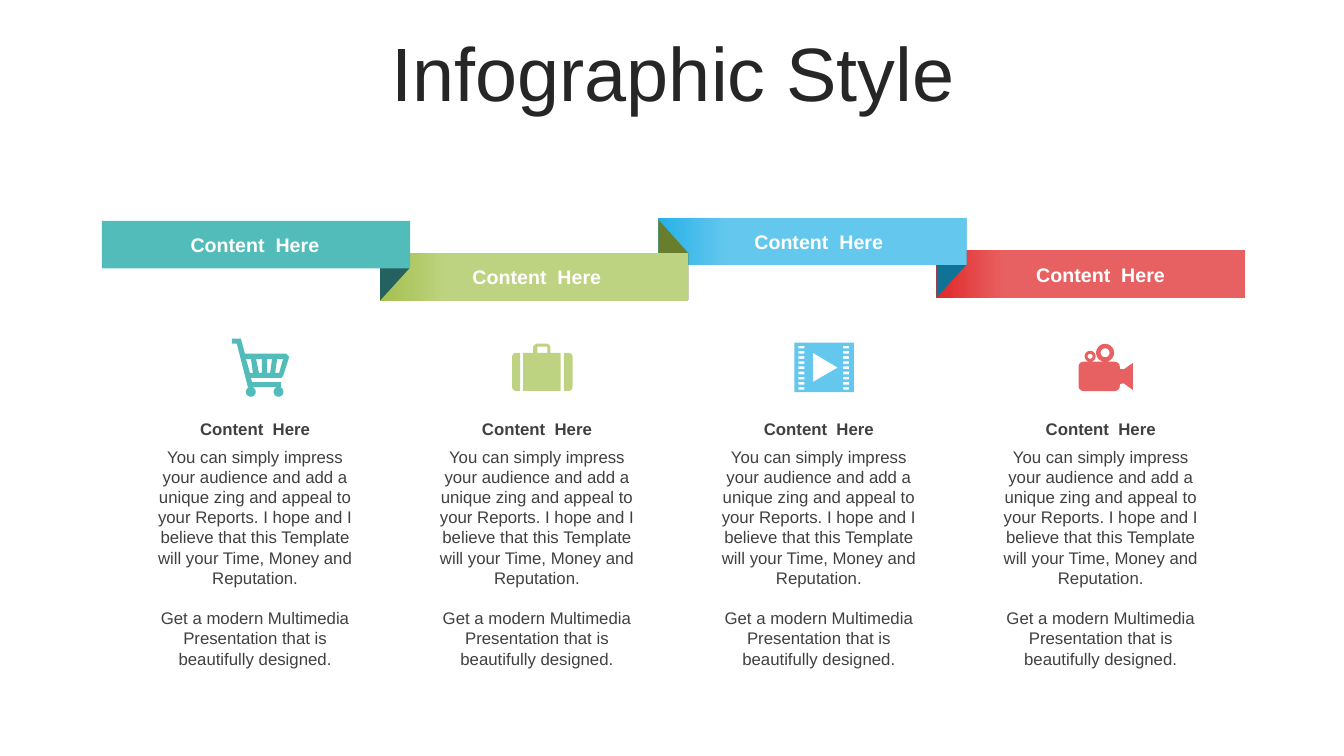
from math import cos, pi, sin

from pptx import Presentation
from pptx import util as u
from pptx.dml.color import RGBColor
from pptx.enum import shapes, text

Pt = u.Pt

TEAL = RGBColor(0x51, 0xBC, 0xB9)
GREEN = RGBColor(0xBE, 0xD3, 0x81)
BLUE = RGBColor(0x63, 0xC7, 0xEE)
RED = RGBColor(0xE8, 0x61, 0x62)
GREEN_SHADE = RGBColor(0xA4, 0xC1, 0x4F)
BLUE_SHADE = RGBColor(0x26, 0xB1, 0xE7)
RED_SHADE = RGBColor(0xE0, 0x28, 0x29)
TEAL_FOLD = RGBColor(0x25, 0x61, 0x5F)
GREEN_FOLD = RGBColor(0x69, 0x7E, 0x2C)
BLUE_FOLD = RGBColor(0x11, 0x72, 0x98)
TITLE_GRAY = RGBColor(0x26, 0x26, 0x26)
TEXT_GRAY = RGBColor(0x40, 0x40, 0x40)
WHITE = RGBColor(0xFF, 0xFF, 0xFF)

LABEL = "Content  Here"
BODY = [
    "You can simply impress your audience and add a unique zing and appeal to "
    "your Reports. I hope and I believe that this Template will your Time, "
    "Money and Reputation.",
    "Get a modern Multimedia Presentation that is beautifully designed.",
]

RIBBON_LEFT, RIBBON_PITCH = 72.7, 198.75
RIBBON_WIDTH, RIBBON_HEIGHT = 220.3, 34
FOLD_WIDTH = 21.4
COLUMN_PITCH = 201.35


# Outlines, in points
def arc(center_x, center_y, radius, start, sweep, steps):
    angles = [start + sweep * step / steps for step in range(steps + 1)]
    return [(center_x + radius * cos(a), center_y + radius * sin(a)) for a in angles]


def circle(center_x, center_y, radius):
    return arc(center_x, center_y, radius, 0, 2 * pi, 32)


def box(left, top, width, height, left_radius=0, right_radius=0):
    right, bottom = left + width, top + height
    corners = [
        (left + left_radius, top + left_radius, left_radius),
        (right - right_radius, top + right_radius, right_radius),
        (right - right_radius, bottom - right_radius, right_radius),
        (left + left_radius, bottom - left_radius, left_radius),
    ]
    points = []
    for turn, (x, y, radius) in enumerate(corners):
        points += arc(x, y, radius, pi + turn * pi / 2, pi / 2, 6) if radius else [(x, y)]
    return points


def cart():
    frame = [(0, 0), (6.5, 0), (9.4, 10.8), (38.9, 10.8), (41, 13), (36.7, 26.6),
             (35.3, 28.1), (13.7, 28.1), (14.4, 31), (35.3, 31), (35.3, 34.6),
             (11.5, 34.6), (3.6, 3.6), (0, 3.6)]
    slots = [(10.1, 13.7, 15.1, 13), (17.3, 21.6, 21.6, 19.4),
             (25.2, 28.8, 27.4, 25.2), (32.4, 36.7, 33.8, 31)]
    gaps = [list(zip(slot, (14.4, 14.4, 24.5, 24.5))) for slot in slots]
    return [frame, *gaps, circle(13.6, 38, 3.5), circle(33.4, 38, 3.5)]


def suitcase():
    middle = [(7.9, 6.5), (15.1, 6.5), (15.1, 2), (17, 0), (25.5, 0), (27.4, 2),
              (27.4, 6.5), (34.6, 6.5), (34.6, 33.8), (7.9, 33.8)]
    return [middle, box(18, 2.2, 7.2, 4.3),
            box(0, 6.5, 5.8, 27.3, left_radius=3),
            box(37, 6.5, 6.2, 27.3, right_radius=3)]


def film():
    holes = [box(x, 2.2 + 3.69 * row, 4.3, 1.9) for row in range(9) for x in (2.9, 34.9)]
    return [box(0, 0, 42.5, 35.3), [(13.2, 7.2), (13.2, 28.1), (31, 17.8)], *holes]


def camera():
    lens = [(29.5, 17.3), (32.4, 17.6), (38.9, 13), (38.9, 32.4), (32.4, 27.7), (29.5, 28)]
    return [box(0, 12.2, 29.5, 20.9, 3.6, 3.6), lens,
            circle(19, 5.8, 6.4), circle(19, 5.8, 3.2),
            circle(8.3, 8.3, 3.9), circle(8.3, 8.3, 1.8)]


class Slide:
    font = "Arial"

    def __init__(self, slide):
        self.slide = slide
        self.shapes = slide.shapes

    def format(self, paragraph, size, color, bold=False):
        paragraph.alignment = text.PP_ALIGN.CENTER
        for run in paragraph.runs:
            run.font.name = self.font
            run.font.size = Pt(size)
            run.font.bold = bold
            run.font.color.rgb = color

    def title(self, words, left, top, width, height):
        shape = self.shapes.title
        shape.left, shape.top, shape.width, shape.height = map(Pt, (left, top, width, height))
        frame = shape.text_frame
        frame.text = words
        frame.auto_size = text.MSO_AUTO_SIZE.NONE
        frame.vertical_anchor = text.MSO_ANCHOR.MIDDLE
        frame.paragraphs[0].line_spacing = 0.9
        self.format(frame.paragraphs[0], 54, TITLE_GRAY)

    def text(self, paragraphs, left, top, width, height, size, color,
             bold=False, anchor=text.MSO_ANCHOR.MIDDLE):
        frame = self.shapes.add_textbox(*map(Pt, (left, top, width, height))).text_frame
        frame.word_wrap = True
        frame.auto_size = text.MSO_AUTO_SIZE.SHAPE_TO_FIT_TEXT
        frame.vertical_anchor = anchor
        frame.margin_left, frame.margin_right = 0, Pt(7.2)
        frame.margin_top = frame.margin_bottom = Pt(3.6)
        frame.text = "\n".join(paragraphs)
        for index, paragraph in enumerate(frame.paragraphs):
            if index:
                paragraph.space_before = Pt(14.5)
            self.format(paragraph, size, color, bold)

    def ribbon(self, left, top, color, shade):
        shape = self.shapes.add_shape(
            shapes.MSO_SHAPE.RECTANGLE, *map(Pt, (left, top, RIBBON_WIDTH, RIBBON_HEIGHT)))
        shape.shadow.inherit = False
        shape.line.fill.background()
        if shade is None:
            shape.fill.solid()
            shape.fill.fore_color.rgb = color
            return
        shape.fill.gradient()
        shape.fill.gradient_angle = 180
        stops = zip(shape.fill.gradient_stops, (0.78, 1), (color, shade))
        for stop, position, stop_color in stops:
            stop.position = position
            stop.color.rgb = stop_color

    def outline(self, contours, color, left=0, top=0):
        builder = None
        for contour in contours:
            start, *rest = [(Pt(x), Pt(y)) for x, y in contour]
            if builder is None:
                builder = self.shapes.build_freeform(*start)
            else:
                builder.move_to(*start)
            builder.add_line_segments(rest, close=True)
        shape = builder.convert_to_shape(Pt(left), Pt(top))
        shape.shadow.inherit = False
        shape.line.fill.background()
        shape.fill.solid()
        shape.fill.fore_color.rgb = color


def main():
    presentation = Presentation()
    presentation.slide_width, presentation.slide_height = Pt(960), Pt(540)
    page = Slide(presentation.slides.add_slide(presentation.slide_layouts[5]))
    page.title("Infographic Style", 25.2, 26.6, 911.5, 56.9)

    # Ribbon top, colour, shade, fold colour; icon outline, left, top
    columns = [
        (157.7, TEAL, None, TEAL_FOLD, cart, 165.6, 241.9),
        (180.7, GREEN, GREEN_SHADE, GREEN_FOLD, suitcase, 365.8, 245.5),
        (155.5, BLUE, BLUE_SHADE, BLUE_FOLD, film, 567.4, 244.8),
        (178.6, RED, RED_SHADE, None, camera, 770.4, 246.2),
    ]

    # Ribbons, from the last to the first, each over the fold behind it
    for index in reversed(range(len(columns))):
        top, color, shade, fold = columns[index][:4]
        if fold is not None:
            left = RIBBON_LEFT + (index + 1) * RIBBON_PITCH
            right, next_top = left + FOLD_WIDTH, columns[index + 1][0]
            page.outline([[(left, next_top + 1.4), (left, next_top + RIBBON_HEIGHT),
                           (right, top + RIBBON_HEIGHT - 0.5), (right, top)]], fold)
        page.ribbon(RIBBON_LEFT + index * RIBBON_PITCH, top, color, shade)

    # Labels, icons and texts
    for index, (top, color, _, _, icon, icon_left, icon_top) in enumerate(columns):
        shift = index * COLUMN_PITCH
        page.text([LABEL], 113 + shift, top + 5, 145.4, 24.5, 14, WHITE, bold=True)
        page.outline(icon(), color, icon_left, icon_top)
        page.text([LABEL], 106.6 + shift, 295.2, 158.4, 21.6, 12, TEXT_GRAY, bold=True)
        page.text(BODY, 106.6 + shift, 315.4, 158.4, 167, 12, TEXT_GRAY,
                  anchor=text.MSO_ANCHOR.TOP)

    presentation.save("out.pptx")


if __name__ == "__main__":
    main()
